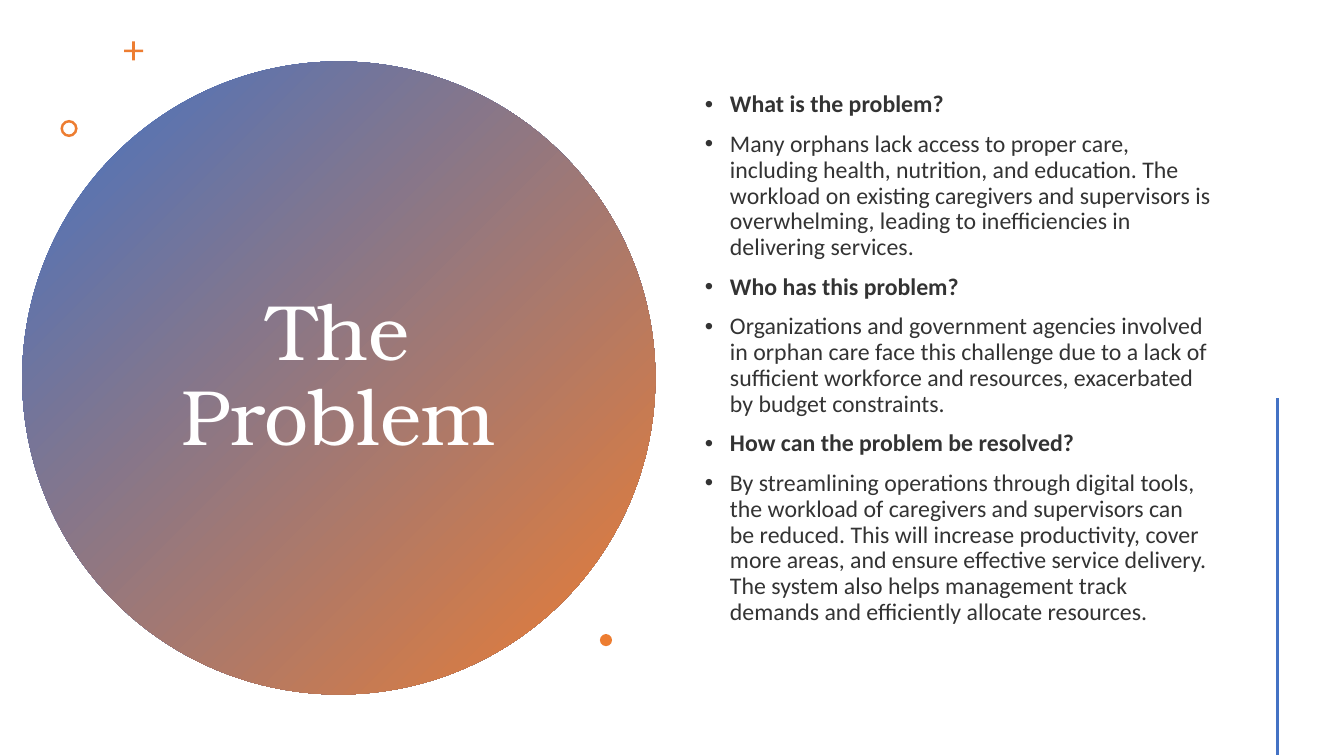
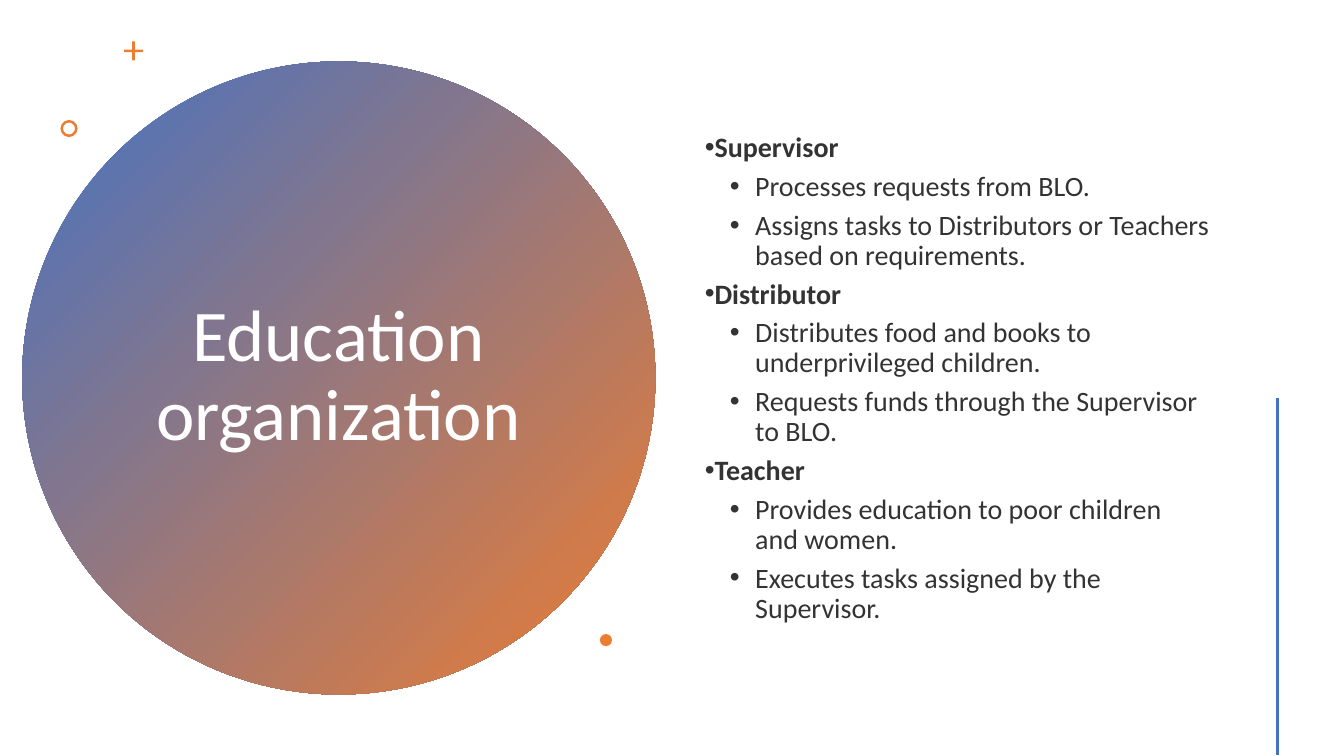
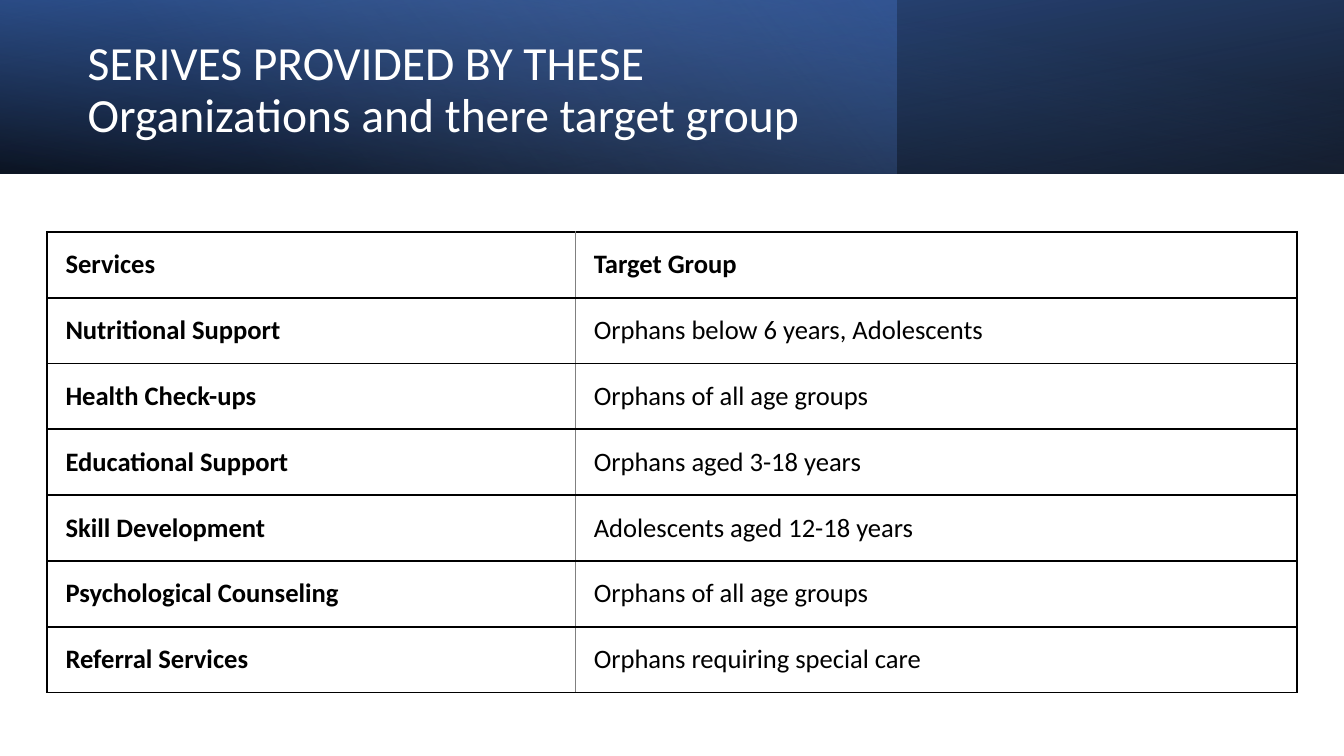
"""Build three slides on orphan care problems, roles and services."""
from dataclasses import dataclass

from lxml import etree
from pptx import Presentation
from pptx.dml.color import RGBColor
from pptx.enum.shapes import MSO_CONNECTOR, MSO_SHAPE
from pptx.enum.text import MSO_ANCHOR, MSO_AUTO_SIZE, PP_ALIGN
from pptx.oxml.ns import qn
from pptx.util import Inches, Pt

OVAL, RECTANGLE = MSO_SHAPE.OVAL, MSO_SHAPE.RECTANGLE
CROSS, DONUT = MSO_SHAPE.CROSS, MSO_SHAPE.DONUT
STRAIGHT = MSO_CONNECTOR.STRAIGHT
MIDDLE = MSO_ANCHOR.MIDDLE
NO_AUTOFIT = MSO_AUTO_SIZE.NONE
LEFT, CENTER = PP_ALIGN.LEFT, PP_ALIGN.CENTER

BLUE, ORANGE = "4472C4", "ED7D31"
NAVY, PALE_BLUE = "2F5597", "8FAADC"
BLACK, WHITE, INK, GREY = "000000", "FFFFFF", "333333", "808080"
FONT, SERIF = "Calibri", "TeX Gyre Bonum"
TITLE_AND_BODY, TITLE_ONLY = 1, 5
WIDTH, HEIGHT, BAND_HEIGHT = 13.33, 7.5, 1.72


@dataclass(frozen=True)
class Area:
    """A rectangle in inches."""
    left: float
    top: float
    width: float
    height: float

    def lengths(self) -> tuple:
        """Return the rectangle as slide lengths."""
        return tuple(map(Inches, (self.left, self.top, self.width, self.height)))


@dataclass(frozen=True)
class Stop:
    """A gradient stop with position and opacity in percent."""
    position: int
    color: str
    opacity: int = 100


@dataclass(frozen=True)
class Backdrop:
    """A gradient shape that lies behind the title."""
    kind: int
    area: Area
    angle: int
    stops: tuple
    rotation: int = 0
    flipped: bool = False


@dataclass(frozen=True)
class Ornament:
    """A small accent shape with an optional adjustment."""
    kind: int
    area: Area
    adjustment: float | None = None


@dataclass(frozen=True)
class Item:
    """A bulleted paragraph."""
    text: str
    bold: bool = False
    level: int = 0
    margin: float = 0.25


@dataclass(frozen=True)
class ListStyle:
    """Size, spacing and bottom inset of a list."""
    size: int
    before: int
    after: int
    bottom_inset: float


CIRCLE = Backdrop(OVAL, Area(0.22, 0.61, 6.28, 6.28), 45,
                  (Stop(0, BLUE), Stop(100, ORANGE)))
BAND = Area(0, 0, WIDTH, BAND_HEIGHT)
BANDS = (
    Backdrop(RECTANGLE, BAND, 100, (Stop(0, BLACK, 96), Stop(100, NAVY)), 180, True),
    Backdrop(RECTANGLE, Area(0, 0, 8.89, BAND_HEIGHT), 140,
             (Stop(0, BLUE, 41), Stop(74, PALE_BLUE, 0))),
    Backdrop(RECTANGLE, BAND, 260, (Stop(0, BLACK, 63), Stop(78, BLUE, 15)), 0, True),
)
ORNAMENTS = (
    Ornament(CROSS, Area(1.23, 0.41, 0.19, 0.19), 0.43),
    Ornament(DONUT, Area(0.6, 1.19, 0.17, 0.17), 0.15),
    Ornament(OVAL, Area(5.95, 6.29, 0.12, 0.12)),
)
CIRCLE_TITLE = Area(1.36, 1.41, 3.99, 4.67)
BAND_TITLE = Area(0.77, 0.27, 7.72, 1.27)
BODY = Area(6.89, 0.57, 5.22, 6.38)
TABLE = Area(0.47, 2.3, 12.39, 4.57)
COLUMN_WIDTHS = (5.24, 7.15)

PROBLEM = (
    ("What is the problem?",
     "Many orphans lack access to proper care, including health, nutrition, and "
     "education. The workload on existing caregivers and supervisors is "
     "overwhelming, leading to inefficiencies in delivering services."),
    ("Who has this problem?",
     "Organizations and government agencies involved in orphan care face this "
     "challenge due to a lack of sufficient workforce and resources, exacerbated "
     "by budget constraints."),
    ("How can the problem be resolved?",
     "By streamlining operations through digital tools, the workload of caregivers "
     "and supervisors can be reduced. This will increase productivity, cover more "
     "areas, and ensure effective service delivery. The system also helps "
     "management track demands and efficiently allocate resources."),
)
ROLES = (
    ("Supervisor", "Processes requests from BLO.",
     "Assigns tasks to Distributors or Teachers based on requirements."),
    ("Distributor", "Distributes food and books to underprivileged children.",
     "Requests funds through the Supervisor to BLO."),
    ("Teacher", "Provides education to poor children and women.",
     "Executes tasks assigned by the Supervisor."),
)
SERVICES = (
    ("Services", "Target Group"),
    ("Nutritional Support", "Orphans below 6 years, Adolescents"),
    ("Health Check-ups", "Orphans of all age groups"),
    ("Educational Support", "Orphans aged 3-18 years"),
    ("Skill Development", "Adolescents aged 12-18 years"),
    ("Psychological Counseling", "Orphans of all age groups"),
    ("Referral Services", "Orphans requiring special care"),
)


def paint(target, color: str) -> None:
    """Give a colour format a hex colour."""
    target.rgb = RGBColor.from_string(color)


def set_font(para, size: int, color: str, name: str = FONT, bold: bool = False) -> None:
    """Format the font of a paragraph."""
    font = para.font
    font.name, font.size, font.bold = name, Pt(size), bold
    paint(font.color, color)


def place(shape, area: Area) -> None:
    """Move and size a shape."""
    shape.left, shape.top, shape.width, shape.height = area.lengths()


def add_plain_shape(page, kind: int, area: Area):
    """Add a shape without outline or shadow."""
    shape = page.shapes.add_shape(kind, *area.lengths())
    shape.line.fill.background()
    shape.shadow.inherit = False
    return shape


def add_backdrop(page, backdrop: Backdrop) -> None:
    """Draw a gradient shape behind the title."""
    shape = add_plain_shape(page, backdrop.kind, backdrop.area)
    shape.rotation = backdrop.rotation
    properties = shape.element.spPr
    if backdrop.flipped:
        properties.find(qn("a:xfrm")).set("flipH", "1")
    gradient = etree.Element(qn("a:gradFill"), rotWithShape="1")
    stops = etree.SubElement(gradient, qn("a:gsLst"))
    for stop in backdrop.stops:
        node = etree.SubElement(stops, qn("a:gs"), pos=str(stop.position * 1000))
        color = etree.SubElement(node, qn("a:srgbClr"), val=stop.color)
        if stop.opacity < 100:
            etree.SubElement(color, qn("a:alpha"), val=str(stop.opacity * 1000))
    etree.SubElement(gradient, qn("a:lin"), ang=str(backdrop.angle * 60000), scaled="0")
    properties.find(qn("a:prstGeom")).addnext(gradient)
    page.shapes.title.element.addprevious(shape.element)


def add_ornaments(page) -> None:
    """Draw the accents and the line at the right."""
    for ornament in ORNAMENTS:
        shape = add_plain_shape(page, ornament.kind, ornament.area)
        shape.fill.solid()
        paint(shape.fill.fore_color, ORANGE)
        if ornament.adjustment is not None:
            shape.adjustments[0] = ornament.adjustment
    line = page.shapes.add_connector(
        STRAIGHT, Inches(12.67), Inches(3.95), Inches(12.67), Inches(7.49))
    paint(line.line.color, BLUE)
    line.line.width = Pt(2)
    etree.SubElement(line.element.spPr, qn("a:effectLst"))


def write_title(page, text: str, area: Area, size: int, name: str = FONT,
                alignment: int = CENTER) -> None:
    """Fill the title placeholder in white."""
    title = page.shapes.title
    place(title, area)
    frame = title.text_frame
    frame.text = text
    frame.word_wrap, frame.auto_size, frame.vertical_anchor = True, NO_AUTOFIT, MIDDLE
    para = frame.paragraphs[0]
    para.alignment, para.line_spacing = alignment, 0.9
    set_font(para, size, WHITE, name)


def add_bullet(para, margin: float) -> None:
    """Give a paragraph a round bullet that hangs left of its margin."""
    properties = para._p.get_or_add_pPr()
    properties.set("marL", str(Inches(margin)))
    properties.set("indent", str(Inches(-0.25)))
    etree.SubElement(properties, qn("a:buFont"), typeface="Arial")
    etree.SubElement(properties, qn("a:buChar"), char="•")


def write_list(page, items: list[Item], style: ListStyle) -> None:
    """Fill the body placeholder with bullets."""
    body = page.placeholders[1]
    place(body, BODY)
    frame = body.text_frame
    frame.word_wrap, frame.auto_size, frame.vertical_anchor = True, NO_AUTOFIT, MIDDLE
    frame.margin_bottom = Inches(style.bottom_inset)
    frame.text = "\n".join(item.text for item in items)
    for para, item in zip(frame.paragraphs, items):
        add_bullet(para, item.margin)
        para.level, para.alignment, para.line_spacing = item.level, LEFT, 0.9
        para.space_before, para.space_after = Pt(style.before), Pt(style.after)
        set_font(para, style.size, INK, bold=item.bold)


def add_circle_page(deck, title: str, size: int, name: str, items: list[Item],
                    style: ListStyle) -> None:
    """Add a page with a title circle and a list."""
    page = deck.slides.add_slide(deck.slide_layouts[TITLE_AND_BODY])
    add_backdrop(page, CIRCLE)
    write_title(page, title, CIRCLE_TITLE, size, name)
    write_list(page, items, style)
    add_ornaments(page)


def set_borders(cell, inner_side: str) -> None:
    """Draw black cell borders with a thin grey one on the inner side."""
    properties = cell._tc.get_or_add_tcPr()
    for index, side in enumerate("LRTB"):
        color, width = (GREY, 0.5) if side == inner_side else (BLACK, 1.5)
        line = etree.Element(qn(f"a:ln{side}"), w=str(Pt(width)))
        fill = etree.SubElement(line, qn("a:solidFill"))
        etree.SubElement(fill, qn("a:srgbClr"), val=color)
        properties.insert(index, line)


def add_services_table(page) -> None:
    """Draw the table of services and target groups."""
    table = page.shapes.add_table(
        len(SERVICES), len(COLUMN_WIDTHS), *TABLE.lengths()).table
    table.first_row = table.horz_banding = False
    for column, width in zip(table.columns, COLUMN_WIDTHS):
        column.width = Inches(width)
    for row_index, texts in enumerate(SERVICES):
        for column_index, text in enumerate(texts):
            cell = table.cell(row_index, column_index)
            cell.text = text
            cell.fill.background()
            cell.vertical_anchor = MIDDLE
            cell.margin_left = Inches(0.18)
            cell.margin_top = cell.margin_right = cell.margin_bottom = Inches(0.14)
            set_font(cell.text_frame.paragraphs[0], 19, BLACK,
                     bold=row_index == 0 or column_index == 0)
            set_borders(cell, "RL"[column_index])


def main() -> None:
    """Build and save the deck."""
    deck = Presentation()
    deck.slide_width, deck.slide_height = Inches(WIDTH), Inches(HEIGHT)

    problem_items = [Item(text, bold=text == question)
                     for question, answer in PROBLEM for text in (question, answer)]
    add_circle_page(deck, "The Problem", 56, SERIF, problem_items,
                    ListStyle(17, 10, 0, 0.45))

    role_items = []
    for role, *tasks in ROLES:
        role_items.append(Item(role, bold=True, margin=0))
        role_items.extend(Item(task, level=1, margin=0.5) for task in tasks)
    add_circle_page(deck, "Education organization", 52, FONT, role_items,
                    ListStyle(20, 0, 6, 0.05))

    page = deck.slides.add_slide(deck.slide_layouts[TITLE_ONLY])
    for band in BANDS:
        add_backdrop(page, band)
    write_title(page, "SERIVES PROVIDED BY THESE Organizations and there target group",
                BAND_TITLE, 34, alignment=LEFT)
    add_services_table(page)

    deck.save("out.pptx")


if __name__ == "__main__":
    main()
